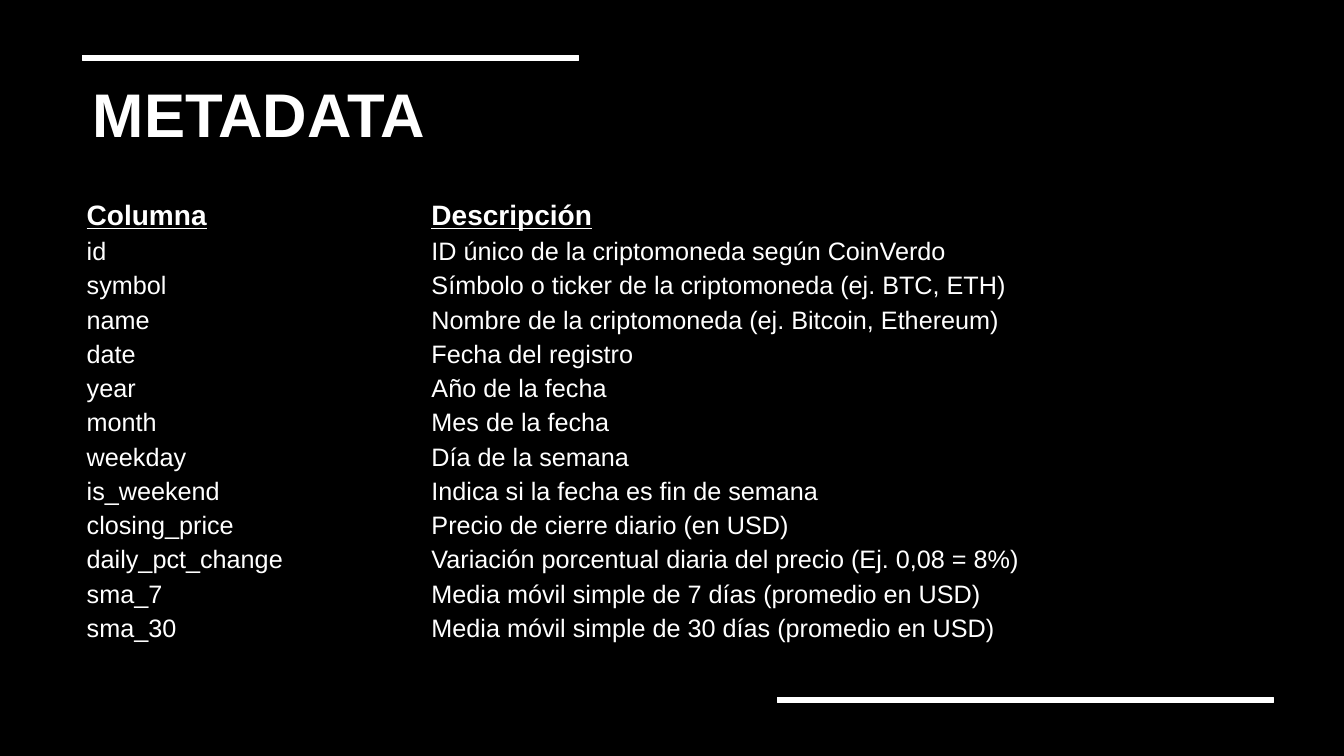
from dataclasses import dataclass

from pptx import Presentation
from pptx.dml.color import RGBColor
from pptx.enum.shapes import MSO_SHAPE
from pptx.enum.text import MSO_ANCHOR, MSO_AUTO_SIZE, PP_ALIGN
from pptx.util import Inches, Pt

RECTANGLE = MSO_SHAPE.RECTANGLE
MIDDLE = MSO_ANCHOR.MIDDLE
LEFT = PP_ALIGN.LEFT
GROW = MSO_AUTO_SIZE.SHAPE_TO_FIT_TEXT
TITLE_ONLY = 5
PLAIN_TABLE_STYLE = "{2D5ABB26-0587-4C30-8999-92F81FD0307C}"


@dataclass(frozen=True)
class Theme:
    """Colours, typeface and type sizes of the slide."""
    background: RGBColor = RGBColor(0x00, 0x00, 0x00)
    ink: RGBColor = RGBColor(0xFF, 0xFF, 0xFF)
    typeface: str = "Arial"
    title: Pt = Pt(44)
    heading: Pt = Pt(20)
    body: Pt = Pt(18)


THEME = Theme()

HEADINGS = ("Columna", "Descripción")
FIELDS = [
    ("id", "ID único de la criptomoneda según CoinVerdo"),
    ("symbol", "Símbolo o ticker de la criptomoneda (ej. BTC, ETH)"),
    ("name", "Nombre de la criptomoneda (ej. Bitcoin, Ethereum)"),
    ("date", "Fecha del registro"),
    ("year", "Año de la fecha"),
    ("month", "Mes de la fecha"),
    ("weekday", "Día de la semana"),
    ("is_weekend", "Indica si la fecha es fin de semana"),
    ("closing_price", "Precio de cierre diario (en USD)"),
    ("daily_pct_change", "Variación porcentual diaria del precio (Ej. 0,08 = 8%)"),
    ("sma_7", "Media móvil simple de 7 días (promedio en USD)"),
    ("sma_30", "Media móvil simple de 30 días (promedio en USD)"),
]


def style_text(paragraph, size, bold=False, underline=False):
    """Apply the theme's typeface and ink to a left-aligned paragraph."""
    paragraph.alignment = LEFT
    font = paragraph.font
    font.name, font.size = THEME.typeface, size
    font.bold, font.underline = bold, underline
    font.color.rgb = THEME.ink


def add_accent_bar(slide, left, top, width, height):
    """Draw a thin decorative bar."""
    bar = slide.shapes.add_shape(RECTANGLE, left, top, width, height)
    bar.shadow.inherit = False
    bar.fill.solid()
    bar.fill.fore_color.rgb = THEME.ink
    bar.line.color.rgb = THEME.ink
    bar.line.width = Pt(1)


def place_title(slide, left, top, width, height):
    """Move the title placeholder into its box and fill it."""
    title = slide.shapes.title
    title.left, title.top, title.width, title.height = left, top, width, height
    frame = title.text_frame
    frame.text = "METADATA"
    frame.auto_size = GROW
    frame.vertical_anchor = MIDDLE
    style_text(frame.paragraphs[0], THEME.title, bold=True)


def add_field_table(slide, left, top, width, height):
    """List every field with its description under two headings."""
    records = [HEADINGS, *FIELDS]
    graphic = slide.shapes.add_table(
        len(records), len(HEADINGS), left, top, width, height)
    table = graphic.table
    table.first_row = table.horz_banding = False
    graphic._element.xpath(".//a:tableStyleId")[0].text = PLAIN_TABLE_STYLE

    name_width = Inches(3.42)
    table.columns[0].width = name_width
    table.columns[1].width = width - name_width
    heading_height = Inches(0.38)
    field_height = (height - heading_height) // len(FIELDS)

    for index, record in enumerate(records):
        is_heading = index == 0
        table.rows[index].height = heading_height if is_heading else field_height
        for column, text in enumerate(record):
            cell = table.cell(index, column)
            cell.text = text
            cell.fill.background()
            cell.vertical_anchor = MIDDLE
            cell.margin_left = cell.margin_right = Inches(0.04)
            cell.margin_top = cell.margin_bottom = Inches(0.02)
            style_text(cell.text_frame.paragraphs[0],
                       THEME.heading if is_heading else THEME.body,
                       bold=is_heading, underline=is_heading)


def build_metadata_slide(presentation):
    """Build the metadata slide inside the slide's margins."""
    slide = presentation.slides.add_slide(presentation.slide_layouts[TITLE_ONLY])
    slide.background.fill.solid()
    slide.background.fill.fore_color.rgb = THEME.background

    margin = Inches(0.82)
    bar_width, bar_height = Inches(4.92), Inches(0.05)
    add_accent_bar(slide, margin, Inches(0.55), bar_width, bar_height)
    add_accent_bar(slide, Inches(7.71), Inches(6.92), bar_width, bar_height)
    place_title(slide, margin, Inches(0.7), Inches(3.88), Inches(0.84))
    add_field_table(slide, margin, Inches(1.95), Inches(9.58), Inches(4.41))


def main():
    """Create and save the presentation."""
    presentation = Presentation()
    presentation.slide_width = Inches(13.33)
    presentation.slide_height = Inches(7.5)
    build_metadata_slide(presentation)
    presentation.save("out.pptx")


if __name__ == "__main__":
    main()
